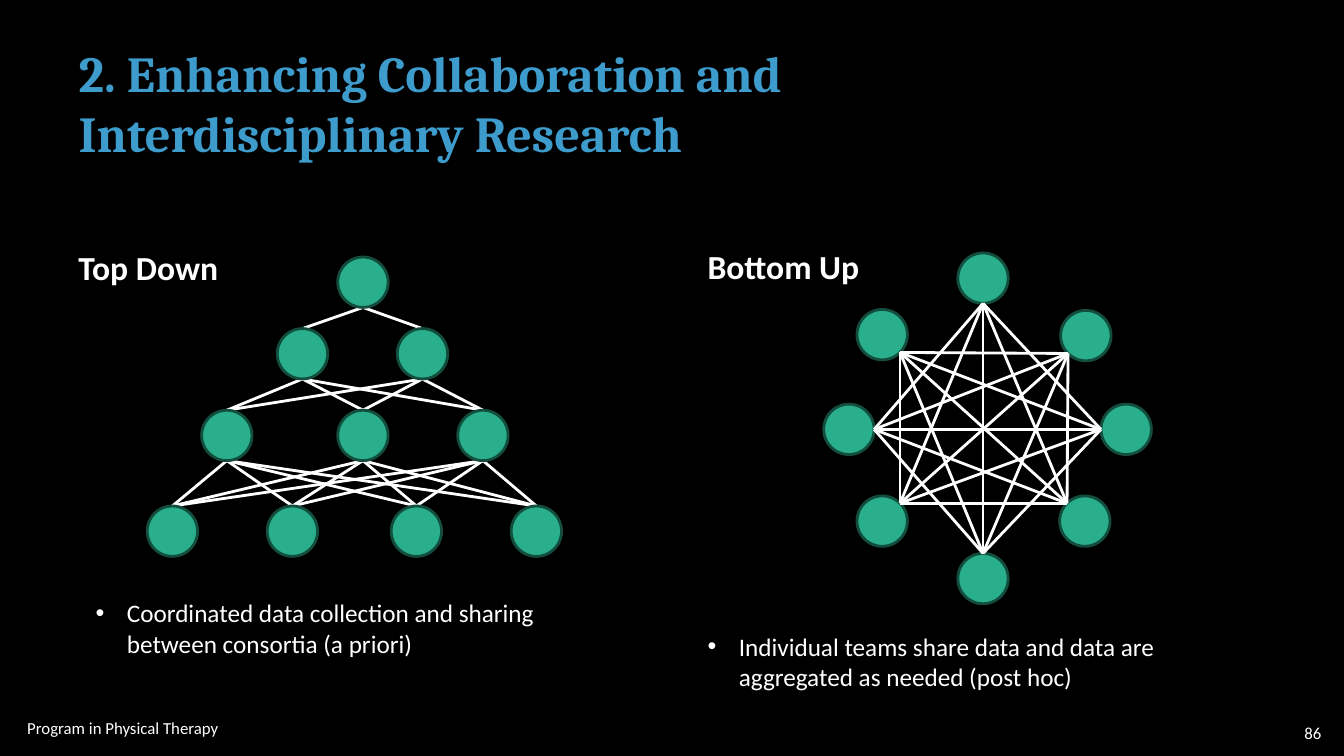
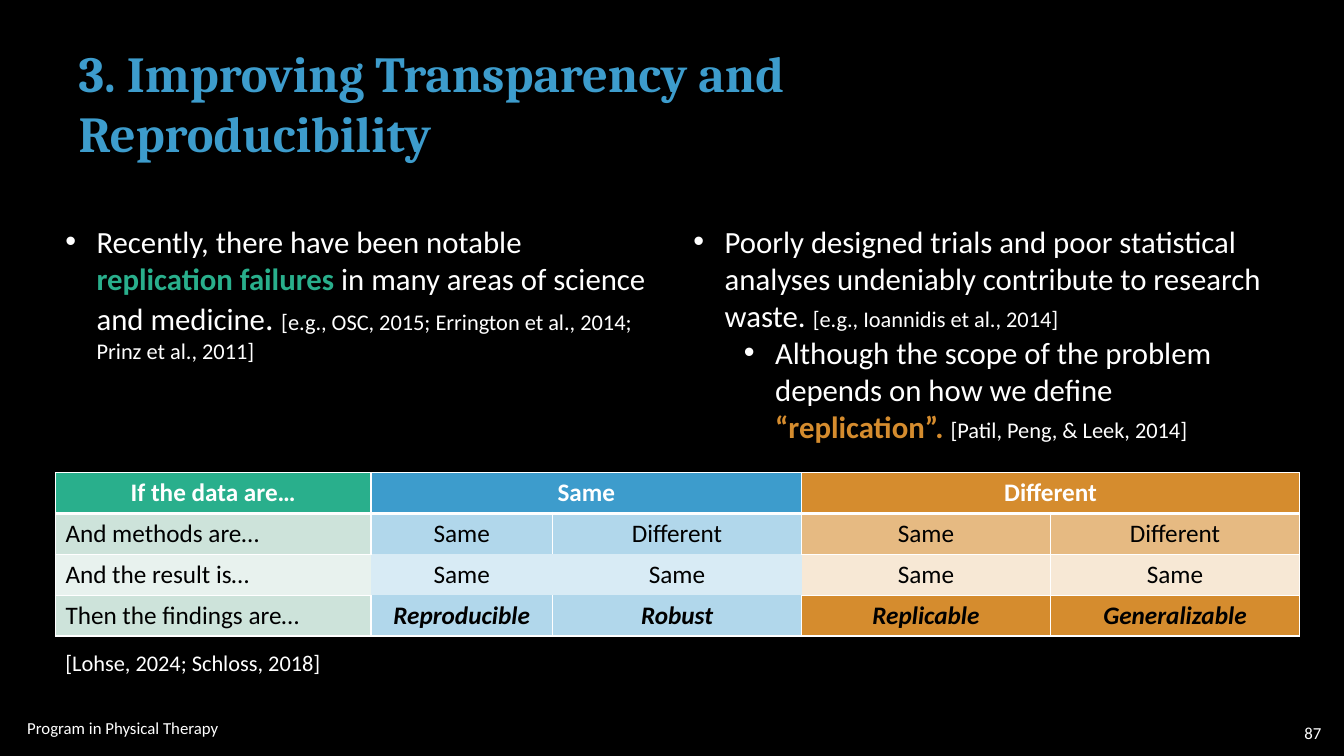
import itertools
import math

import lxml.etree
import pptx
import pptx.dml.color
import pptx.enum.shapes
import pptx.enum.text
import pptx.oxml.ns
import pptx.util

# Palette
RGBColor = pptx.dml.color.RGBColor
BLACK = RGBColor(0x00, 0x00, 0x00)
WHITE = RGBColor(0xFF, 0xFF, 0xFF)
BLUE = RGBColor(0x3D, 0x9C, 0xCC)
BLUE_MID = RGBColor(0xB1, 0xD7, 0xEB)
BLUE_PALE = RGBColor(0xD8, 0xEB, 0xF5)
GREEN = RGBColor(0x29, 0xAF, 0x8C)
GREEN_DARK = RGBColor(0x12, 0x4D, 0x3D)
GREEN_MID = RGBColor(0xCD, 0xE3, 0xDA)
GREEN_PALE = RGBColor(0xE8, 0xF2, 0xEE)
ORANGE = RGBColor(0xD5, 0x8C, 0x2E)
ORANGE_MID = RGBColor(0xE6, 0xBA, 0x82)
ORANGE_PALE = RGBColor(0xF7, 0xE8, 0xD5)

BODY_FONT = "Calibri"
TITLE_FONT = "Cambria"
FOOTER = "Program in Physical Therapy"
NODE_RADIUS = 1
BULLET_INDENT = 0.31
LEVEL_INDENT = 0.5

ALIGN = pptx.enum.text.PP_ALIGN
qn = pptx.oxml.ns.qn


def grid(cells):
    """Length of a number of grid cells; a cell is a quarter inch (30 rows)."""
    return pptx.util.Inches(cells / 4)


def write_run(paragraph, text, size=18, color=WHITE, bold=False, italic=False, font=BODY_FONT):
    run = paragraph.add_run()
    run.text = text
    run.font.name = font
    run.font.size = pptx.util.Pt(size)
    run.font.color.rgb = color
    run.font.bold = bold
    run.font.italic = italic


def add_bullet(paragraph, level):
    paragraph.level = level
    properties = paragraph._p.get_or_add_pPr()
    margin = BULLET_INDENT + level * LEVEL_INDENT
    properties.set("marL", str(pptx.util.Inches(margin)))
    properties.set("indent", str(pptx.util.Inches(-BULLET_INDENT)))
    lxml.etree.SubElement(properties, qn("a:buFont")).set("typeface", "Arial")
    lxml.etree.SubElement(properties, qn("a:buChar")).set("char", "•")


def add_border(cell, side, points):
    """Draw one cell side in white, or leave it out when points is 0."""
    properties = cell._tc.get_or_add_tcPr()
    line = lxml.etree.SubElement(properties, qn(f"a:ln{side}"))
    line.set("w", str(pptx.util.Pt(points)))
    if points:
        fill = lxml.etree.SubElement(line, qn("a:solidFill"))
        lxml.etree.SubElement(fill, qn("a:srgbClr")).set("val", str(WHITE))
    else:
        lxml.etree.SubElement(line, qn("a:noFill"))


class Deck:
    """Holds the shared style and the current slide."""

    def __init__(self):
        self.presentation = pptx.Presentation()
        self.presentation.slide_width = pptx.util.Inches(13.33)
        self.presentation.slide_height = pptx.util.Inches(7.5)
        background = self.presentation.slide_master.background.fill
        background.solid()
        background.fore_color.rgb = BLACK
        self.slide = None

    def add_slide(self, title, number):
        layout = self.presentation.slide_layouts[5]
        self.slide = self.presentation.slides.add_slide(layout)
        shape = self.slide.shapes.title
        shape.left, shape.top = grid(2.72), grid(1.92)
        shape.width, shape.height = grid(42.2), grid(4.28)
        frame = shape.text_frame
        frame.word_wrap = True
        frame.auto_size = pptx.enum.text.MSO_AUTO_SIZE.NONE
        frame.vertical_anchor = pptx.enum.text.MSO_ANCHOR.MIDDLE
        paragraph = frame.paragraphs[0]
        paragraph.alignment = ALIGN.LEFT
        write_run(paragraph, title, size=36, color=BLUE, bold=True, font=TITLE_FONT)
        # Page number and footer
        self.add_text([[(str(number), {"size": 12})]], 50.84, 28.48, 2.5, 1.2, align=ALIGN.CENTER)
        self.add_text([[(FOOTER, {"size": 12})]], 1.08, 28.48, 38.56, 0.8, inset=False)

    def add_text(self, paragraphs, column, row, width, height,
                 align=ALIGN.LEFT, bullets=False, wrap=True, inset=True):
        """Each paragraph is a list of (text, format); bullets nest one level each."""
        box = self.slide.shapes.add_textbox(grid(column), grid(row), grid(width), grid(height))
        frame = box.text_frame
        frame.word_wrap = wrap
        if not inset:
            frame.margin_left = frame.margin_right = 0
            frame.margin_top = frame.margin_bottom = 0
        for level, runs in enumerate(paragraphs):
            paragraph = frame.add_paragraph() if level else frame.paragraphs[0]
            paragraph.alignment = align
            if bullets:
                add_bullet(paragraph, level)
            for text, style in runs:
                write_run(paragraph, text, **style)

    def add_node(self, center):
        column, row = center
        node = self.slide.shapes.add_shape(
            pptx.enum.shapes.MSO_SHAPE.OVAL,
            grid(column - NODE_RADIUS), grid(row - NODE_RADIUS),
            grid(2 * NODE_RADIUS), grid(2 * NODE_RADIUS))
        node.shadow.inherit = False
        node.fill.solid()
        node.fill.fore_color.rgb = GREEN
        node.line.color.rgb = GREEN_DARK
        node.line.width = pptx.util.Pt(2)

    def add_link(self, start, end):
        link = self.slide.shapes.add_connector(
            pptx.enum.shapes.MSO_CONNECTOR.STRAIGHT,
            *(grid(value) for value in (*start, *end)))
        link.line.color.rgb = WHITE
        link.line.width = pptx.util.Pt(2)
        lxml.etree.SubElement(link._element.spPr, qn("a:effectLst"))

    def add_tree(self, levels):
        """Link every node of a level to every node of the next."""
        for parents, children in itertools.pairwise(levels):
            for (x1, y1), (x2, y2) in itertools.product(parents, children):
                self.add_link((x1, y1 + NODE_RADIUS), (x2, y2 - NODE_RADIUS))
        for center in itertools.chain.from_iterable(levels):
            self.add_node(center)

    def add_mesh(self, centers):
        """Link all nodes of a ring, clockwise from the top, except neighbours."""
        count = len(centers)
        inner_points = []
        for index, (column, row) in enumerate(centers):
            self.add_node((column, row))
            angle = math.tau * index / count
            inner_points.append((column - NODE_RADIUS * math.sin(angle),
                                 row + NODE_RADIUS * math.cos(angle)))
        for first, second in itertools.combinations(range(count), 2):
            if second - first not in (1, count - 1):
                self.add_link(inner_points[first], inner_points[second])

    def add_table(self, rows, fills, widths, column, row, row_height, merges, borderless):
        table = self.slide.shapes.add_table(
            len(rows), len(widths), grid(column), grid(row),
            grid(sum(widths)), grid(row_height * len(rows))).table
        table.horz_banding = False
        for index, width in enumerate(widths):
            table.columns[index].width = grid(width)
        for start, end in merges:
            table.cell(*start).merge(table.cell(*end))
        for r, c in itertools.product(range(len(rows)), range(len(widths))):
            cell = table.cell(r, c)
            if cell.is_spanned:
                continue
            # Borders come before the fill
            neighbours = {"L": (r, c - 1), "R": (r, c + 1), "T": (r - 1, c), "B": (r + 1, c)}
            for side, neighbour in neighbours.items():
                under_header = (r, side) in ((0, "B"), (1, "T"))
                hidden = borderless & {(r, c), neighbour}
                add_border(cell, side, 0 if hidden else 3 if under_header else 1)
            cell.fill.solid()
            cell.fill.fore_color.rgb = fills[r][c]
            header, finding = r == 0, r == len(rows) - 1 and c > 0
            paragraph = cell.text_frame.paragraphs[0]
            paragraph.alignment = ALIGN.CENTER if header or c else ALIGN.LEFT
            write_run(paragraph, rows[r][c], color=WHITE if header else BLACK,
                      bold=header or finding, italic=finding)


def build_collaboration(deck):
    deck.add_slide("2. Enhancing Collaboration and Interdisciplinary Research", 86)

    # Ring of peers
    deck.add_mesh([(39, 11.04), (43.08, 13.32), (44.68, 17.04), (43.04, 20.68),
                   (39, 22.96), (35, 20.68), (33.68, 17.04), (35, 13.28)])

    # Hierarchy
    tree = {11.2: [14.4], 14.04: [12, 16.76], 17.28: [9, 14.4, 19.16],
            21.08: [6.84, 11.6, 16.52, 21.28]}
    deck.add_tree([[(column, row) for column in columns] for row, columns in tree.items()])

    # Headings and explanations
    heading = {"size": 24, "bold": True}
    deck.add_text([[("Top Down", heading)]], 2.72, 9.6, 6.4, 2, wrap=False)
    deck.add_text([[("Bottom Up", heading)]], 27.68, 9.56, 6.92, 2, wrap=False)
    deck.add_text([[("Individual teams share data and data are aggregated as needed (post hoc)", {})]],
                  27.68, 24.84, 19.68, 2.84, bullets=True)
    deck.add_text([[("Coordinated data collection and sharing between consortia (a priori)", {})]],
                  3.4, 23.52, 21.8, 2.84, bullets=True)


def build_transparency(deck):
    deck.add_slide("3. Improving Transparency and Reproducibility", 87)
    body, citation = {"size": 22}, {"size": 16}

    # Two columns of points
    deck.add_text([[
        ("Recently, there have been notable ", body),
        ("replication failures", {"size": 22, "color": GREEN, "bold": True}),
        (" in many areas of science and medicine", body),
        (". ", {"size": 24}),
        ("[e.g., OSC, 2015; Errington et al., 2014; Prinz et al., 2011]", citation),
    ]], 2.2, 8.64, 24, 7.68, bullets=True)
    deck.add_text([
        [("Poorly designed trials and poor statistical analyses undeniably contribute "
          "to research waste. ", body),
         ("[e.g., Ioannidis et al., 2014]", citation)],
        [("Although the scope of the problem depends on how we define ", body),
         ("“replication”. ", {"size": 22, "color": ORANGE, "bold": True}),
         ("[Patil, Peng, & Leek, 2014]", citation)],
    ], 27.12, 8.64, 24, 9.28, bullets=True)

    # Table of definitions
    rows = [
        ["If the data are…", "Same", "", "Different", ""],
        ["And methods are…", "Same", "Different", "Same", "Different"],
        ["And the result is…", "Same", "Same", "Same", "Same"],
        ["Then the findings are…", "Reproducible", "Robust", "Replicable", "Generalizable"],
    ]
    row_colors = [(GREEN, BLUE, ORANGE), (GREEN_MID, BLUE_MID, ORANGE_MID),
                  (GREEN_PALE, BLUE_PALE, ORANGE_PALE), (GREEN_MID, BLUE_MID, ORANGE)]
    fills = [[label, same, same, different, different] for label, same, different in row_colors]
    deck.add_table(rows, fills, [12.52, 7.2, 9.88, 9.88, 9.88], 2.2, 18.76, 1.62,
                   merges=[((0, 1), (0, 2)), ((0, 3), (0, 4))],
                   borderless={(2, 1), (2, 2)})
    deck.add_text([[("[Lohse, 2024; Schloss, 2018]", citation)]], 2.2, 25.56, 26.68, 1.48)


def main():
    deck = Deck()
    build_collaboration(deck)
    build_transparency(deck)
    deck.presentation.save("out.pptx")


if __name__ == "__main__":
    main()
